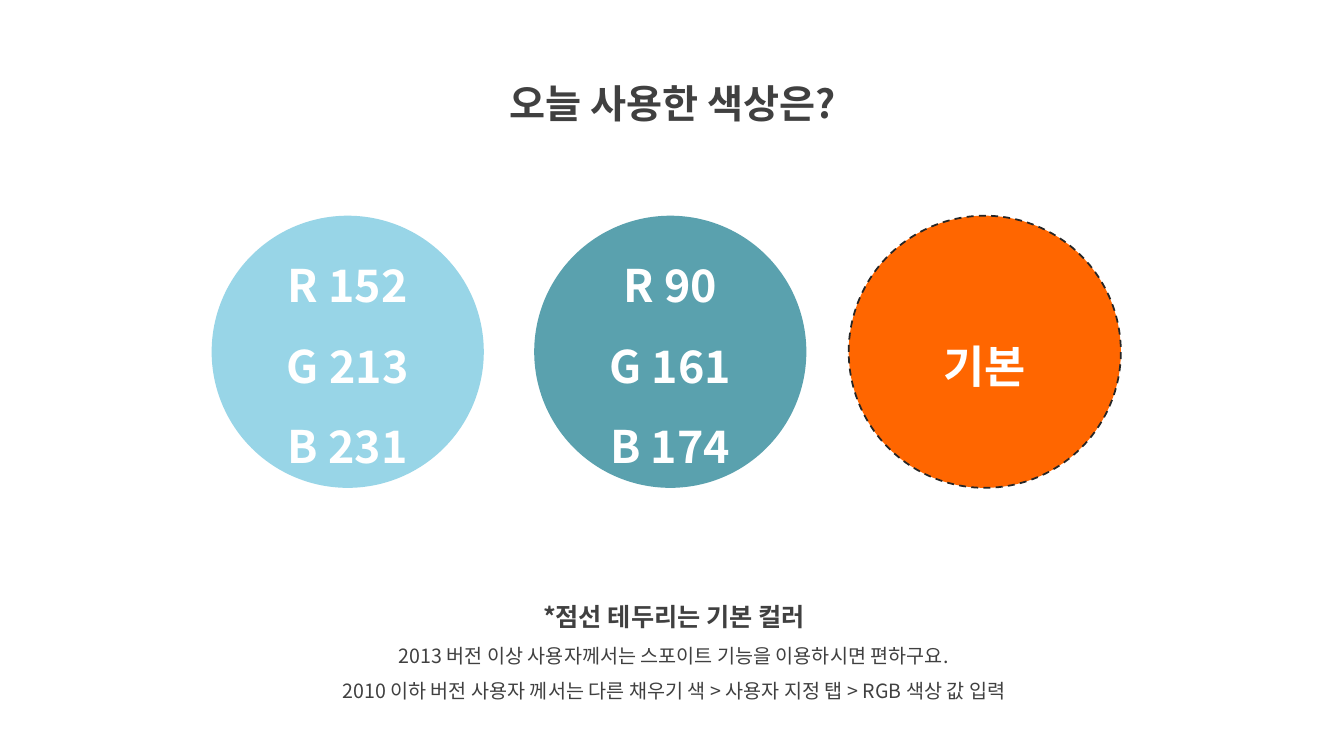
import pptx
import pptx.util
import pptx.dml.color
import pptx.enum.dml
import pptx.enum.shapes
import pptx.enum.text
import lxml.etree

Pt = pptx.util.Pt
FONT = "Noto Sans CJK KR"
DARK, WHITE = "404040", "FFFFFF"

TITLE = [("오늘 사용한 색상은?", 28, True)]
NOTES = [
    ("*점선 테두리는 기본 컬러", 18, True),
    ("2013 버전 이상 사용자께서는 스포이트 기능을 이용하시면 편하구요.", 14, False),
    ("2010 이하 버전 사용자 께서는 다른 채우기 색 > 사용자 지정 탭 > RGB 색상 값 입력", 14, False),
]
CIRCLES = [
    {"left": 151.2, "fill": "98D5E7", "lines": ["R 152", "G 213", "B 231"], "dashed": False},
    {"left": 381.6, "fill": "5AA1AE", "lines": ["R 90", "G 161", "B 174"], "dashed": False},
    {"left": 606.24, "fill": "FF6600", "lines": ["기본"], "dashed": True},
]
CIRCLE_TOP, CIRCLE_SIZE = 154.08, 194.4
TITLE_BOX = (313.92, 36, 333.36, 51.84)
NOTES_BOX = (193.68, 415.44, 575.28, 90.72)


def color(value):
    return pptx.dml.color.RGBColor.from_string(value)


def apply(target, values):
    for name, value in values.items():
        setattr(target, name, value)


def write(shape, lines, text_color, frame_format):
    frame = shape.text_frame
    apply(frame, {"word_wrap": True, **frame_format})
    for index, (text, size, bold) in enumerate(lines):
        paragraph = frame.paragraphs[0] if index == 0 else frame.add_paragraph()
        apply(paragraph, {
            "alignment": pptx.enum.text.PP_ALIGN.CENTER,
            "line_spacing": 1.5,
            "space_before": Pt(0),
        })
        run = paragraph.add_run()
        run.text = text
        apply(run.font, {"size": Pt(size), "bold": bold, "name": FONT})
        run.font.color.rgb = color(text_color)
        latin = run.font._element.find(pptx.oxml.ns.qn("a:latin"))
        east_asian = lxml.etree.Element(pptx.oxml.ns.qn("a:ea"), typeface=FONT)
        latin.addnext(east_asian)


def add_circle(slide, circle):
    shape = slide.shapes.add_shape(
        pptx.enum.shapes.MSO_SHAPE.OVAL,
        Pt(circle["left"]), Pt(CIRCLE_TOP), Pt(CIRCLE_SIZE), Pt(CIRCLE_SIZE),
    )
    shape.shadow.inherit = False
    shape.fill.solid()
    shape.fill.fore_color.rgb = color(circle["fill"])
    if circle["dashed"]:
        shape.line.color.rgb = color("262626")
        apply(shape.line, {"width": Pt(1.25), "dash_style": pptx.enum.dml.MSO_LINE.DASH})
    else:
        shape.line.fill.background()
    lines = [(text, 32, True) for text in circle["lines"]]
    write(shape, lines, WHITE, {"vertical_anchor": pptx.enum.text.MSO_ANCHOR.MIDDLE})


def main():
    presentation = pptx.Presentation()
    apply(presentation, {"slide_width": Pt(960), "slide_height": Pt(540)})
    slide = presentation.slides.add_slide(presentation.slide_layouts[5])

    text_format = {
        "vertical_anchor": pptx.enum.text.MSO_ANCHOR.TOP,
        "auto_size": pptx.enum.text.MSO_AUTO_SIZE.SHAPE_TO_FIT_TEXT,
    }
    title = slide.shapes.title
    apply(title, dict(zip(("left", "top", "width", "height"), map(Pt, TITLE_BOX))))
    write(title, TITLE, DARK, text_format)

    notes = slide.shapes.add_textbox(*map(Pt, NOTES_BOX))
    write(notes, NOTES, DARK, text_format)

    for circle in CIRCLES:
        add_circle(slide, circle)

    presentation.save("out.pptx")


if __name__ == "__main__":
    main()
